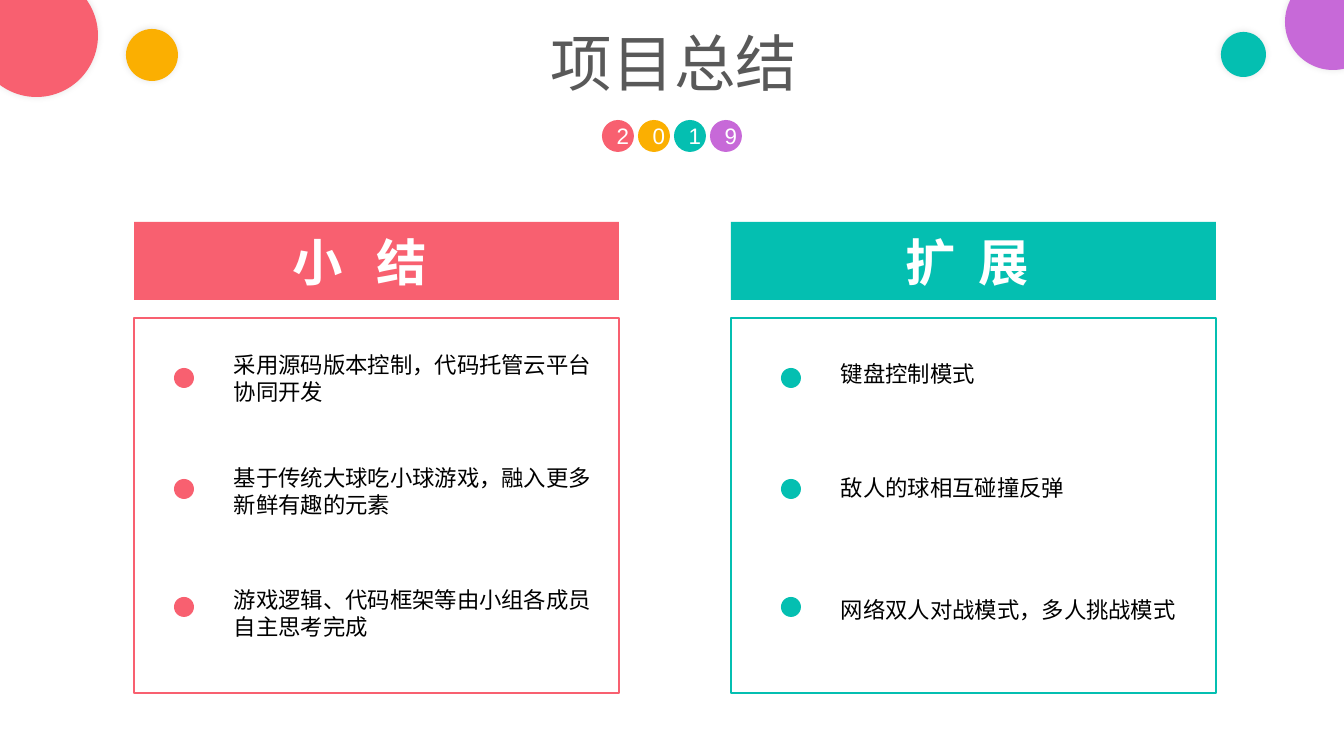
from pptx import Presentation
from pptx.dml.color import RGBColor
from pptx.enum.shapes import MSO_SHAPE
from pptx.enum.text import MSO_ANCHOR, PP_ALIGN
from pptx.oxml import parse_xml
from pptx.oxml.ns import nsdecls
from pptx.util import Pt

EMU_PER_PIXEL = 914400 / 100.8
FONT = "Arial"
CORAL = RGBColor(0xF8, 0x60, 0x70)
AMBER = RGBColor(0xFB, 0xAF, 0x01)
TEAL = RGBColor(0x04, 0xBF, 0xB1)
VIOLET = RGBColor(0xC7, 0x69, 0xD8)
GRAY = RGBColor(0x59, 0x59, 0x59)
BLACK = RGBColor(0, 0, 0)
WHITE = RGBColor(0xFF, 0xFF, 0xFF)

PANEL_WIDTH = 485
BULLET_SIZE = 20
BULLET_TOPS = (368, 479, 597)


def px(value):
    return round(value * EMU_PER_PIXEL)


def add_run(paragraph, text, size, color, bold=False):
    run = paragraph.add_run()
    run.text = text
    run.font.name = FONT
    run.font.size = Pt(size)
    run.font.bold = bold
    run.font.color.rgb = color
    return run


def add_shape(slide, kind, left, top, width, height, fill=None, line=None):
    shape = slide.shapes.add_shape(kind, px(left), px(top), px(width), px(height))
    shape.shadow.inherit = False
    if fill is None:
        shape.fill.background()
    else:
        shape.fill.solid()
        shape.fill.fore_color.rgb = fill
    if line is None:
        shape.line.fill.background()
    else:
        shape.line.color.rgb = line
        shape.line.width = Pt(2)
    return shape


def add_circle(slide, left, top, size, color):
    return add_shape(slide, MSO_SHAPE.OVAL, left, top, size, size, color)


def add_text(slide, left, top, width, height, lines, size, color, wrap=False):
    box = slide.shapes.add_textbox(px(left), px(top), px(width), px(height))
    frame = box.text_frame
    frame.word_wrap = wrap
    for index, line in enumerate(lines):
        paragraph = frame.add_paragraph() if index else frame.paragraphs[0]
        add_run(paragraph, line, size, color)


def add_corner_circle(slide, left, top, size, color):
    circle = add_circle(slide, left, top, size, color)
    properties = circle.fill._xPr
    effects = properties.find("{http://schemas.openxmlformats.org/drawingml/2006/main}effectLst")
    effects.append(parse_xml(
        f'<a:outerShdw {nsdecls("a")} blurRad="{Pt(5)}" dist="0" dir="0" algn="ctr" rotWithShape="0">'
        '<a:srgbClr val="000000"><a:alpha val="11000"/></a:srgbClr></a:outerShdw>'))


def add_year(slide):
    for index, (digit, color) in enumerate(zip("2019", (CORAL, AMBER, TEAL, VIOLET))):
        circle = add_circle(slide, 602 + 36 * index, 120, 32, color)
        circle.text_frame.vertical_anchor = MSO_ANCHOR.MIDDLE
        paragraph = circle.text_frame.paragraphs[0]
        paragraph.alignment = PP_ALIGN.CENTER
        add_run(paragraph, digit, 16, WHITE)


def add_heading(slide, left, width, text, spacing, color):
    label = add_shape(slide, MSO_SHAPE.RECTANGLE, left, 226, width, 71, color)
    label.text_frame.word_wrap = False
    label.text_frame.vertical_anchor = MSO_ANCHOR.TOP
    paragraph = label.text_frame.paragraphs[0]
    paragraph.alignment = PP_ALIGN.LEFT
    run = add_run(paragraph, text, 36, WHITE, bold=True)
    run.font._element.set("spc", str(spacing * 100))


def add_panel(slide, left, bullet_left, color, items):
    add_shape(slide, MSO_SHAPE.RECTANGLE, left, 318, PANEL_WIDTH, 375, line=color)
    add_shape(slide, MSO_SHAPE.RECTANGLE, left, 222, PANEL_WIDTH, 78, color)
    for bullet_top, (top, width, height, lines, wrap) in zip(BULLET_TOPS, items):
        add_circle(slide, bullet_left, bullet_top, BULLET_SIZE, color)
        add_text(slide, bullet_left + 50, top, width, height, lines, 16, BLACK, wrap)


def main():
    presentation = Presentation()
    presentation.slide_width = px(1344)
    presentation.slide_height = px(756)
    slide = presentation.slides.add_slide(presentation.slide_layouts[6])

    add_year(slide)
    add_corner_circle(slide, 1285, -26, 96, VIOLET)
    add_corner_circle(slide, 1221, 32, 45, TEAL)
    add_corner_circle(slide, -25, -26, 123, CORAL)
    add_corner_circle(slide, 126, 29, 52, AMBER)
    add_text(slide, 541, 20, 269, 85, ["项目总结"], 44, GRAY)

    add_panel(slide, 134, 174, CORAL, [
        (346, 378, 65, ["采用源码版本控制，代码托管云平台协同开发"], True),
        (459, 382, 65, ["基于传统大球吃小球游戏，融入更多", "新鲜有趣的元素"], False),
        (581, 382, 65, ["游戏逻辑、代码框架等由小组各成员自主思考完成"], True),
    ])
    add_heading(slide, 283, 170, "小 结", 8, CORAL)

    add_panel(slide, 731, 781, TEAL, [
        (355, 156, 37, ["键盘控制模式"], False),
        (469, 247, 37, ["敌人的球相互碰撞反弹"], False),
        (591, 362, 37, ["网络双人对战模式，多人挑战模式"], False),
    ])
    add_heading(slide, 896, 150, "扩 展", 4, TEAL)

    presentation.save("out.pptx")


main()
